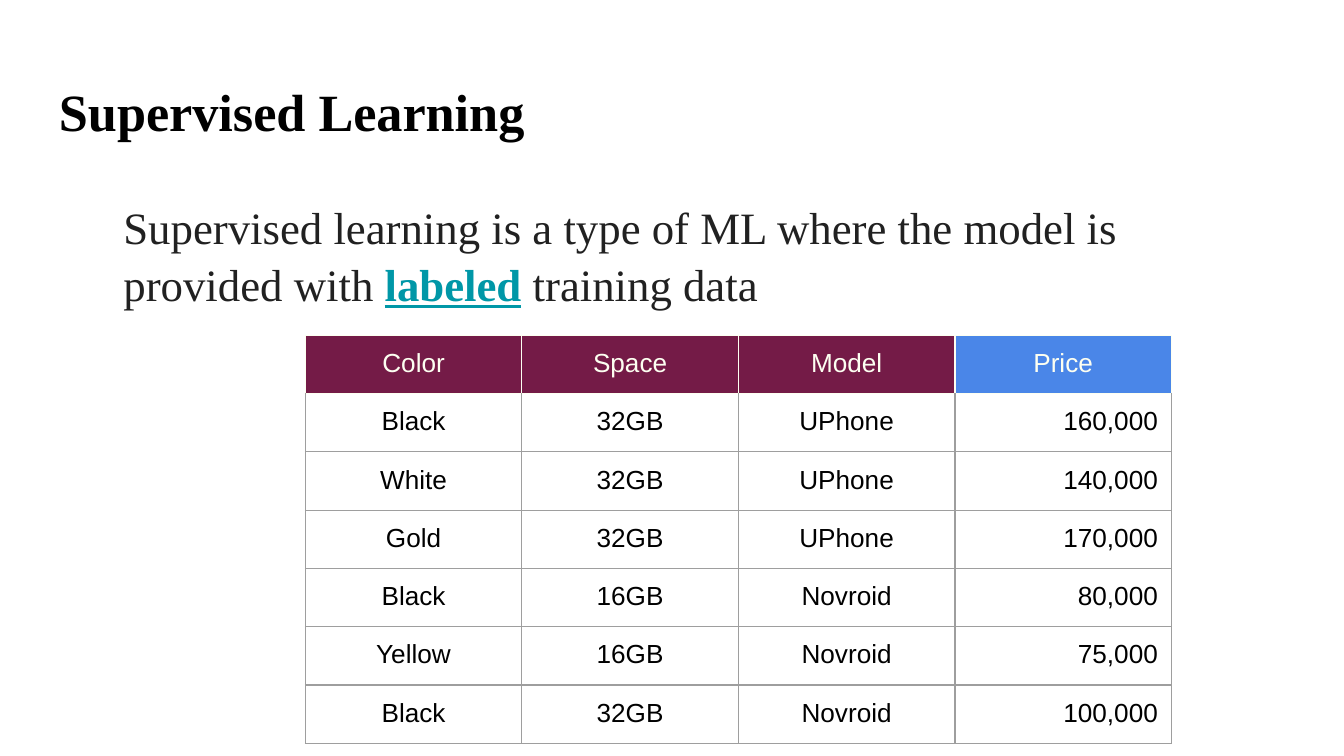
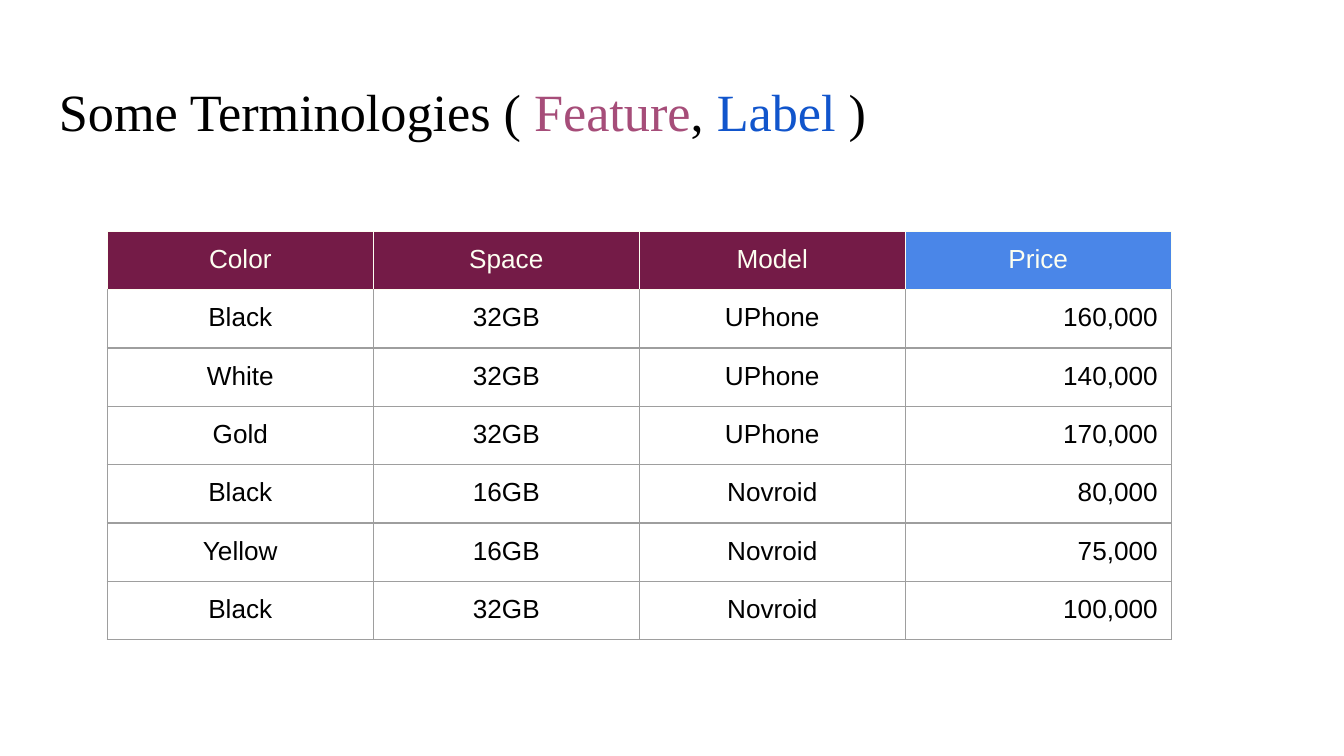
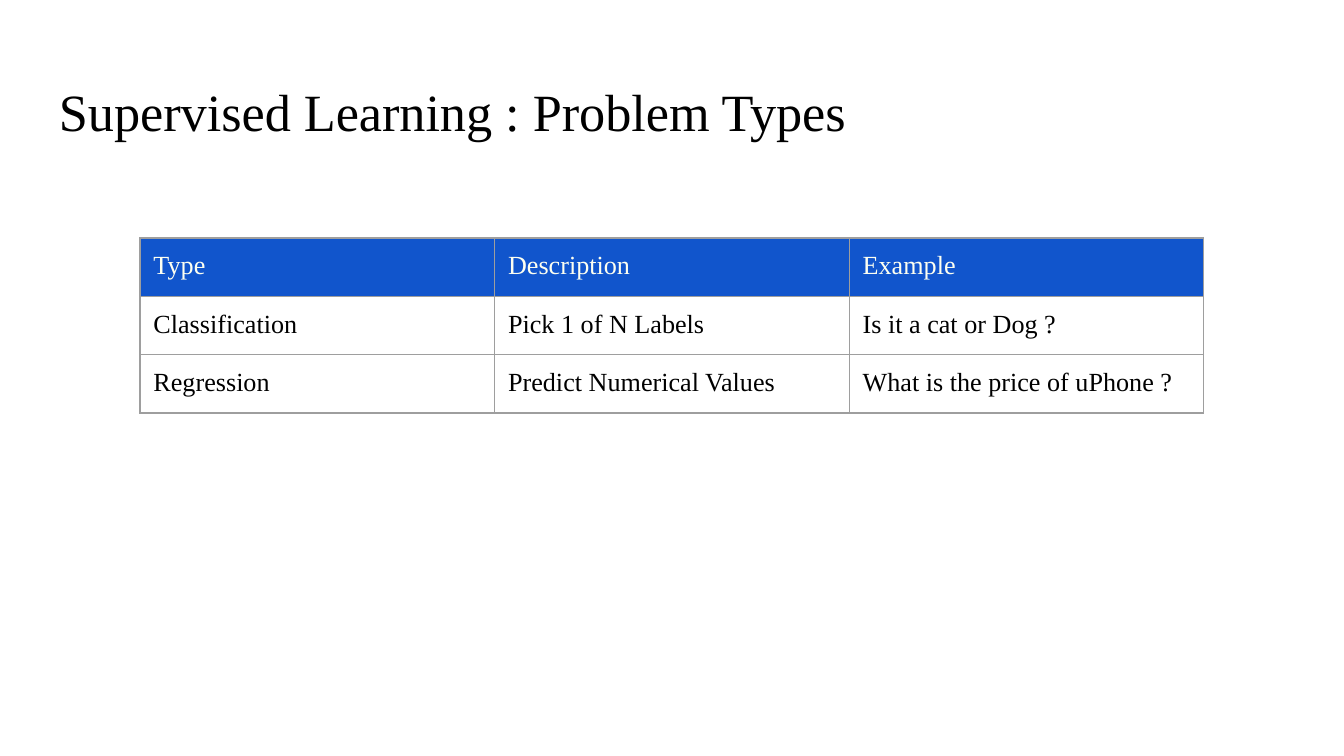
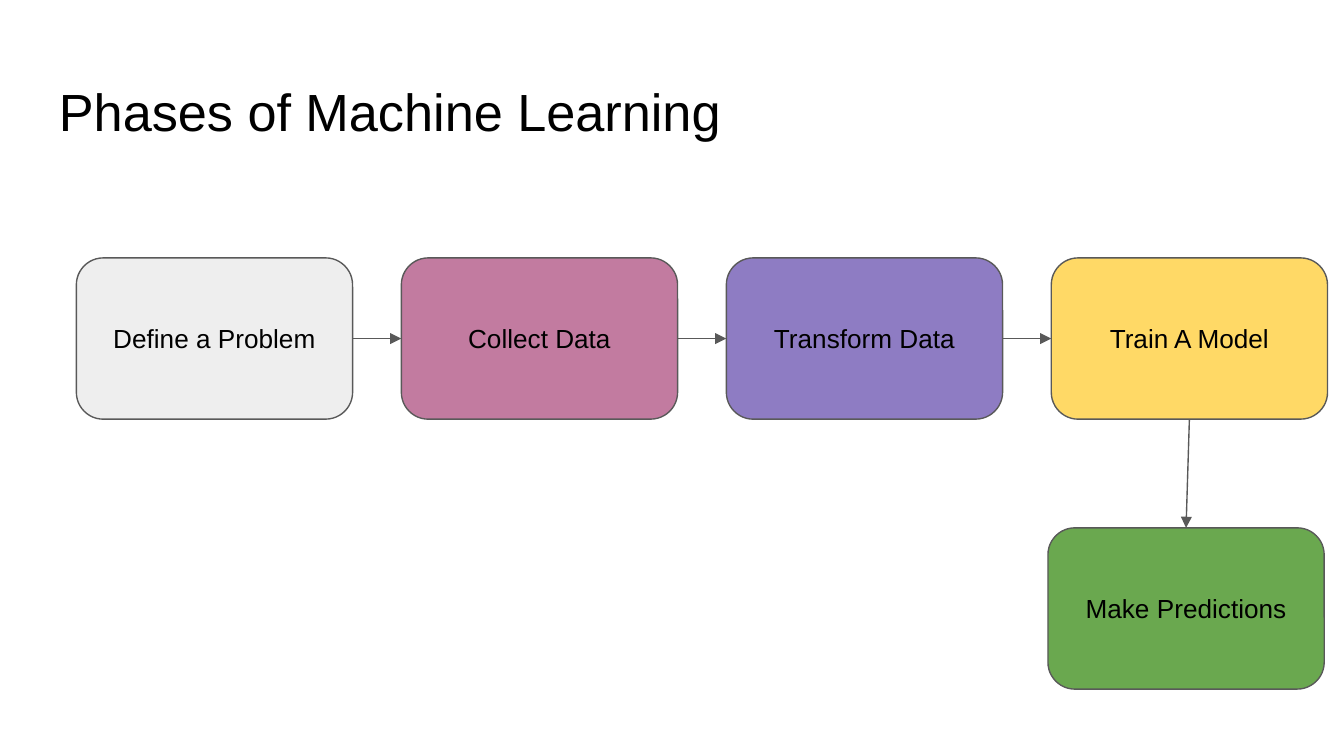
from itertools import pairwise

from lxml.etree import SubElement
from pptx import Presentation
from pptx.dml.color import RGBColor
from pptx.enum.shapes import MSO_CONNECTOR, MSO_SHAPE
from pptx.enum.text import MSO_ANCHOR, PP_ALIGN
from pptx.oxml.ns import qn
from pptx.util import Pt

BLACK = RGBColor(0x00, 0x00, 0x00)
INK = RGBColor(0x21, 0x21, 0x21)
TEAL = RGBColor(0x00, 0x97, 0xA7)
PINK = RGBColor(0xA6, 0x4D, 0x79)
BLUE = RGBColor(0x11, 0x55, 0xCC)
CREAM = RGBColor(0xFD, 0xFF, 0xF1)
PLUM = RGBColor(0x74, 0x1B, 0x47)
SKY = RGBColor(0x4A, 0x86, 0xE8)
GRID = RGBColor(0x9E, 0x9E, 0x9E)
OUTLINE = RGBColor(0x59, 0x59, 0x59)

SERIF, SANS = "Times New Roman", "Arial"
INSET = 7.2
LINE_WIDTH = 0.75
ROW_HEIGHT = 30
TITLE_BOX = (24.5, 35.3, 671, 45.4)
DEFINITION_BOX = (59, 98.6, 576.7, 63.4)

# Each text run is (text, colour, emphasised).
DEFINITION = [
    ("Supervised learning is a type of ML where the model is provided with ", INK, False),
    ("labeled", TEAL, True),
    (" training data", INK, False),
]
TERMS_TITLE = [
    ("Some Terminologies ( ", BLACK, False),
    ("Feature", PINK, False),
    (", ", BLACK, False),
    ("Label ", BLUE, False),
    (")", BLACK, False),
]
PHONES = [
    ("Color", "Space", "Model", "Price"),
    ("Black", "32GB", "UPhone", "160,000"),
    ("White", "32GB", "UPhone", "140,000"),
    ("Gold", "32GB", "UPhone", "170,000"),
    ("Black", "16GB", "Novroid", "80,000"),
    ("Yellow", "16GB", "Novroid", "75,000"),
    ("Black", "32GB", "Novroid", "100,000"),
]
PHONE_STYLE = dict(
    font=SANS,
    header_fills=[PLUM, PLUM, PLUM, SKY],
    header_border=CREAM,
    aligns=[PP_ALIGN.CENTER] * 3 + [PP_ALIGN.RIGHT],
    header_align=PP_ALIGN.CENTER,
)
PROBLEM_TYPES = [
    ("Type", "Description", "Example"),
    ("Classification", "Pick 1 of N Labels", "Is it a cat or Dog ?"),
    ("Regression", "Predict Numerical Values", "What is the price of uPhone ?"),
]
PROBLEM_STYLE = dict(
    font=SERIF,
    header_fills=[BLUE] * 3,
    header_border=GRID,
    aligns=[PP_ALIGN.LEFT] * 3,
    header_align=PP_ALIGN.LEFT,
)
PHASES = [
    ("Define a Problem", RGBColor(0xEE, 0xEE, 0xEE)),
    ("Collect Data", RGBColor(0xC2, 0x7B, 0xA0)),
    ("Transform Data", RGBColor(0x8E, 0x7C, 0xC3)),
    ("Train A Model", RGBColor(0xFF, 0xD9, 0x66)),
    ("Make Predictions", RGBColor(0x6A, 0xA8, 0x4F)),
]
PHASE_SIZE = (148, 86.4)
PHASE_LEFT, PHASE_TOP, PHASE_STEP = 40.9, 138.2, 174.1
LAST_PHASE_AT = (561.4, 282.8)
TOP_SITE, LEFT_SITE, BOTTOM_SITE, RIGHT_SITE = range(4)


def points(values):
    return [Pt(value) for value in values]


def set_font(font, name, size, color=BLACK):
    font.name, font.size, font.color.rgb = name, Pt(size), color


def set_insets(frame):
    frame.margin_left = frame.margin_right = Pt(INSET)
    frame.margin_top = frame.margin_bottom = Pt(INSET)


def add_text(slide, box, runs, name, size, bold=False):
    frame = slide.shapes.add_textbox(*points(box)).text_frame
    frame.word_wrap = True
    set_insets(frame)
    paragraph = frame.paragraphs[0]
    set_font(paragraph.font, name, size)
    paragraph.font.bold = bold
    for text, color, emphasised in runs:
        run = paragraph.add_run()
        run.text = text
        set_font(run.font, name, size, color)
        if emphasised:
            run.font.bold = run.font.underline = True
    return paragraph


def add_titled_slide(deck, title, name=SERIF, bold=False):
    slide = deck.slides.add_slide(deck.slide_layouts[6])
    runs = [(title, BLACK, False)] if isinstance(title, str) else title
    add_text(slide, TITLE_BOX, runs, name, 28, bold)
    return slide


def set_borders(cell, color, top_color):
    properties = cell._tc.get_or_add_tcPr()
    for side, side_color in zip("LRTB", (color, color, top_color, color)):
        border = SubElement(properties, qn(f"a:ln{side}"), w=str(Pt(LINE_WIDTH)))
        fill = SubElement(border, qn("a:solidFill"))
        SubElement(fill, qn("a:srgbClr"), val=str(side_color))


def add_grid(slide, rows, left, top, column_width, font, header_fills,
             header_border, aligns, header_align):
    columns = len(rows[0])
    size = (column_width * columns, ROW_HEIGHT * len(rows))
    table = slide.shapes.add_table(
        len(rows), columns, *points((left, top, *size))).table
    table.first_row = table.horz_banding = False
    for r, row in enumerate(rows):
        for c, text in enumerate(row):
            cell = table.cell(r, c)
            cell.text = text
            set_insets(cell)
            paragraph = cell.text_frame.paragraphs[0]
            is_header = r == 0
            paragraph.alignment = header_align if is_header else aligns[c]
            set_font(paragraph.font, font, 14, CREAM if is_header else BLACK)
            set_borders(cell, header_border if is_header else GRID,
                        header_border if r < 2 else GRID)
            if is_header:
                cell.fill.solid()
                cell.fill.fore_color.rgb = header_fills[c]
            else:
                cell.fill.background()


def add_phase(slide, label, color, position):
    phase = slide.shapes.add_shape(
        MSO_SHAPE.ROUNDED_RECTANGLE, *points((*position, *PHASE_SIZE)))
    phase.shadow.inherit = False
    phase.fill.solid()
    phase.fill.fore_color.rgb = color
    phase.line.color.rgb = OUTLINE
    phase.line.width = Pt(LINE_WIDTH)
    frame = phase.text_frame
    frame.text = label
    frame.word_wrap = True
    frame.vertical_anchor = MSO_ANCHOR.MIDDLE
    set_insets(frame)
    frame.paragraphs[0].alignment = PP_ALIGN.CENTER
    set_font(frame.paragraphs[0].font, SANS, 14)
    return phase


def add_arrow(slide, source, source_site, target, target_site):
    arrow = slide.shapes.add_connector(MSO_CONNECTOR.STRAIGHT, 0, 0, 0, 0)
    arrow.begin_connect(source, source_site)
    arrow.end_connect(target, target_site)
    arrow.line.color.rgb = OUTLINE
    arrow.line.width = Pt(LINE_WIDTH)
    SubElement(arrow.line._get_or_add_ln(), qn("a:tailEnd"), type="triangle")
    SubElement(arrow._element.spPr, qn("a:effectLst"))


def add_phases(slide):
    """Lay the phases in a row, with the last one below, and join them."""
    row_count = len(PHASES) - 1
    positions = [(PHASE_LEFT + i * PHASE_STEP, PHASE_TOP) for i in range(row_count)]
    positions.append(LAST_PHASE_AT)
    phases = [add_phase(slide, label, color, position)
              for (label, color), position in zip(PHASES, positions)]
    for source, target in pairwise(phases[:-1]):
        add_arrow(slide, source, RIGHT_SITE, target, LEFT_SITE)
    add_arrow(slide, phases[-2], BOTTOM_SITE, phases[-1], TOP_SITE)


def main():
    deck = Presentation()
    deck.slide_width, deck.slide_height = points((720, 405))

    supervised = add_titled_slide(deck, "Supervised Learning", bold=True)
    add_grid(supervised, PHONES, 163.6, 179.6, 116, **PHONE_STYLE)
    definition = add_text(supervised, DEFINITION_BOX, DEFINITION, SERIF, 24)
    definition.line_spacing = 1.05

    terms = add_titled_slide(deck, TERMS_TITLE)
    add_grid(terms, PHONES, 57.5, 124, 142.5, **PHONE_STYLE)

    problems = add_titled_slide(deck, "Supervised Learning : Problem Types")
    add_grid(problems, PROBLEM_TYPES, 75, 127.5, 190, **PROBLEM_STYLE)

    add_phases(add_titled_slide(deck, "Phases of Machine Learning", SANS))

    deck.save("out.pptx")


if __name__ == "__main__":
    main()
